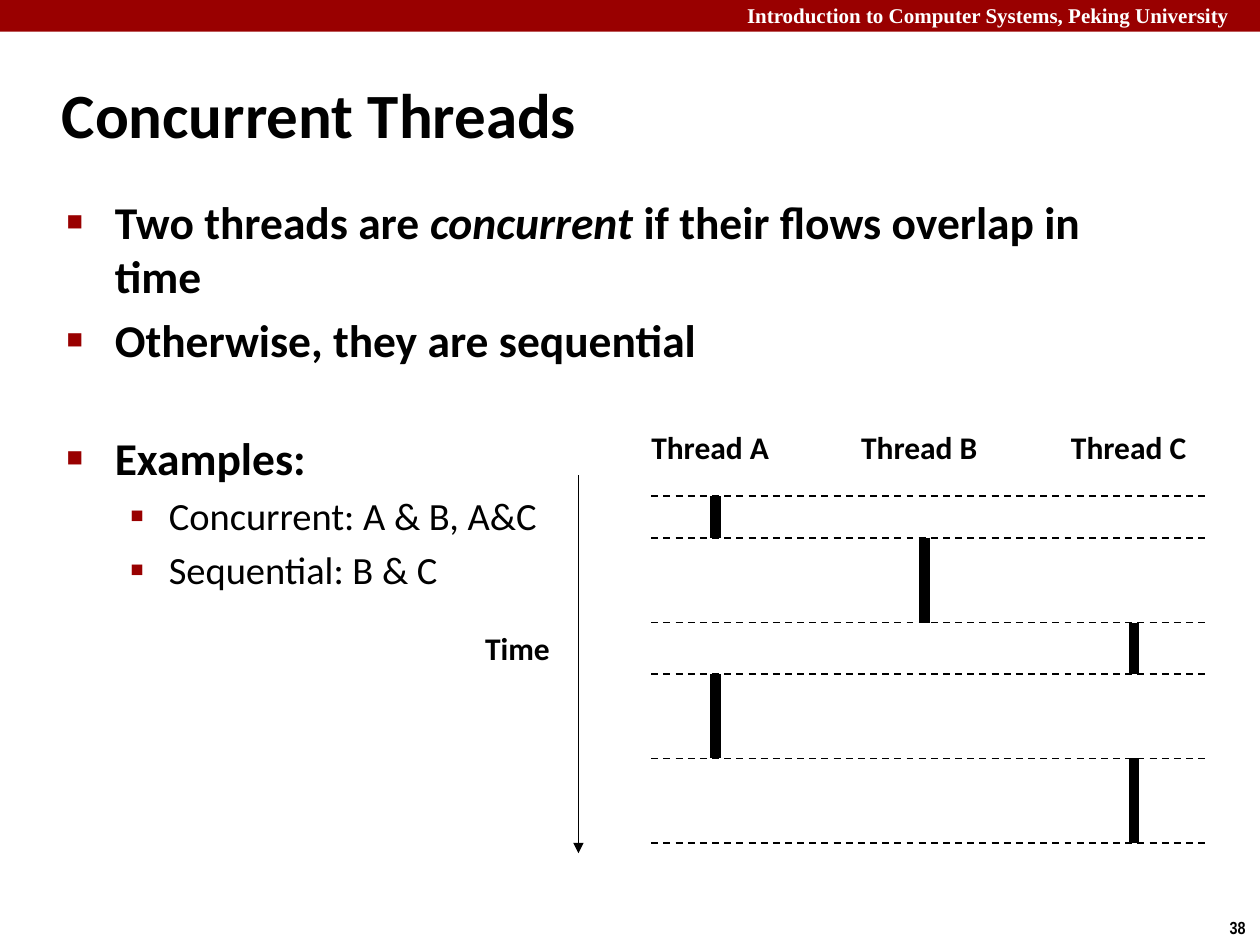
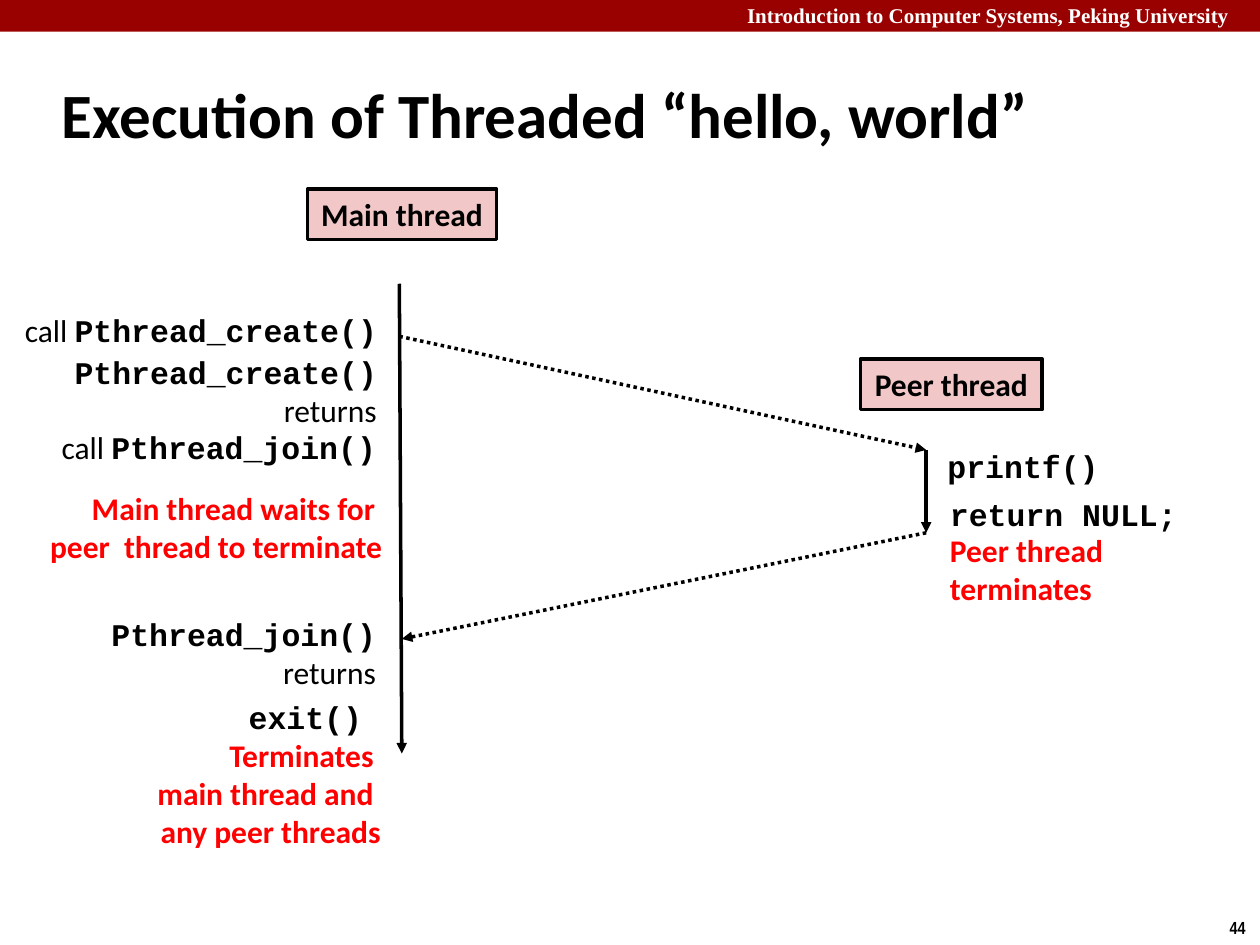
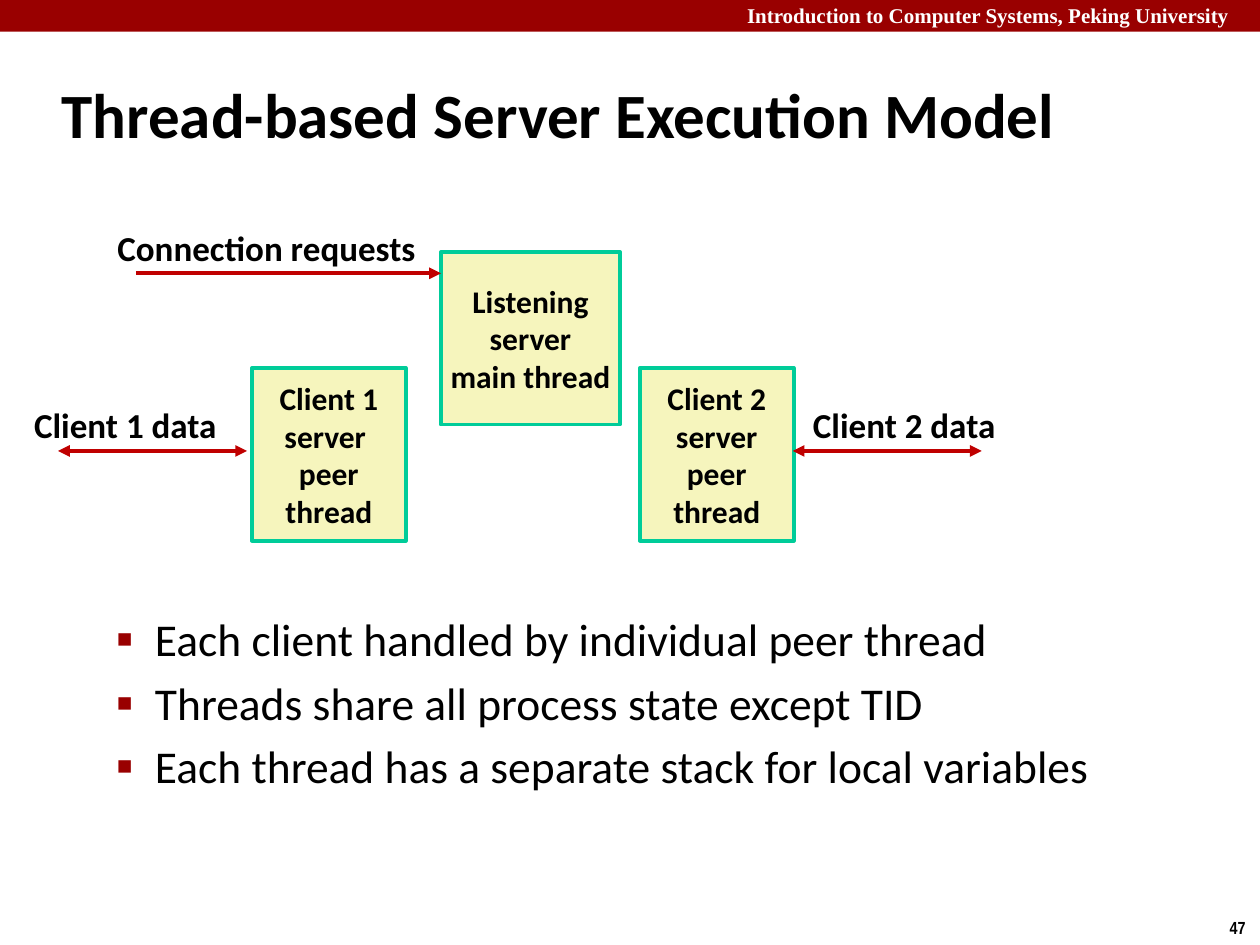
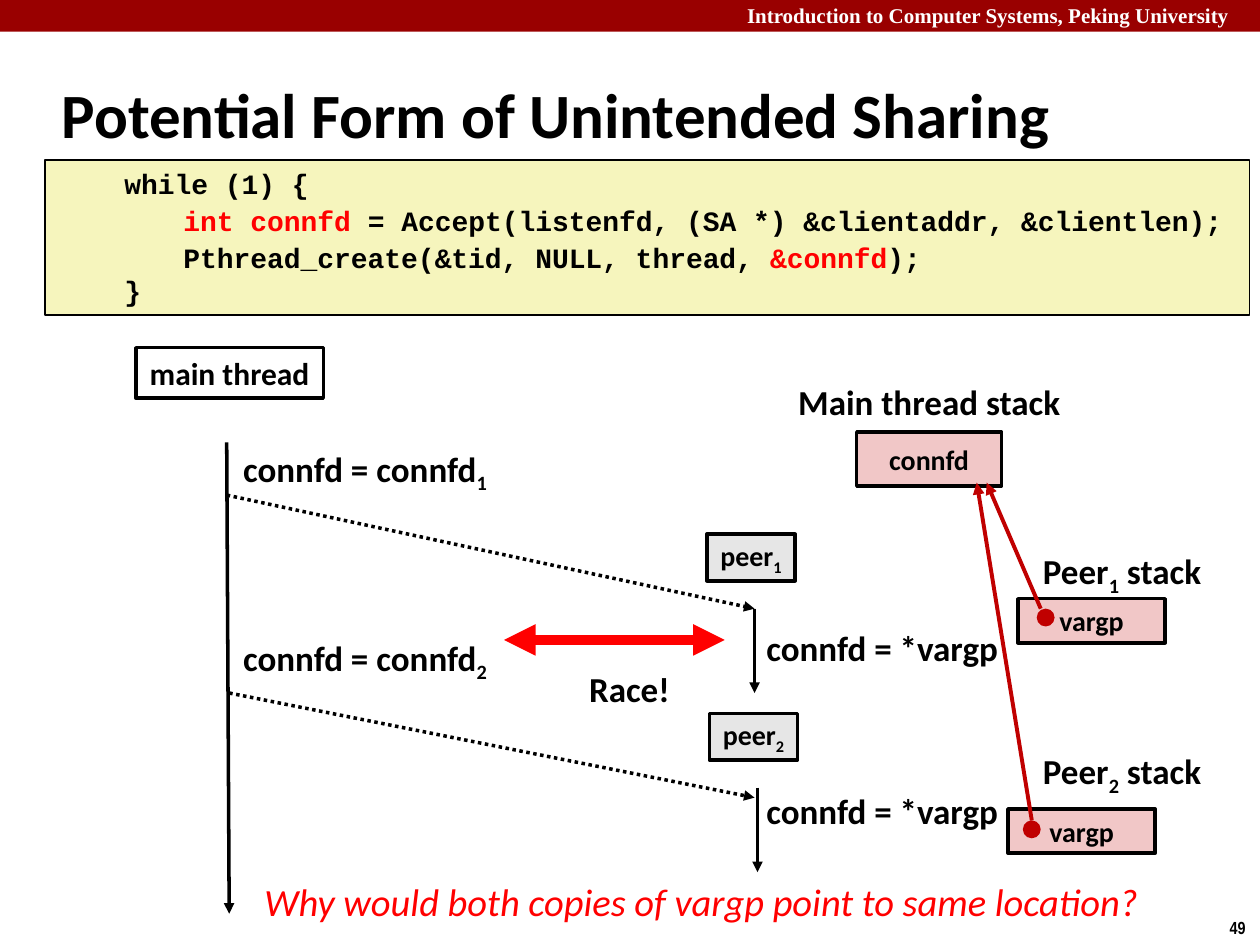
"""Build four lecture slides on concurrent threads and unintended sharing."""
from dataclasses import dataclass

from lxml.etree import SubElement
from pptx import Presentation
from pptx.dml.color import RGBColor
from pptx.enum.dml import MSO_LINE
from pptx.enum.shapes import MSO_CONNECTOR, MSO_SHAPE
from pptx.enum.text import MSO_ANCHOR, MSO_AUTO_SIZE, PP_ALIGN
from pptx.oxml.ns import qn
from pptx.util import Cm, Pt


@dataclass(frozen=True)
class Theme:
    ink: str = "000000"
    paper: str = "FFFFFF"
    band: str = "990000"
    alert: str = "FF0000"
    arrow: str = "C00000"
    pink: str = "F1C7C7"
    cream: str = "F6F5BD"
    grey: str = "E6E6E6"
    green: str = "00CC99"
    sans: str = "Calibri"
    mono: str = "Courier New"
    serif: str = "Times New Roman"
    narrow: str = "Arial Narrow"
    title: int = 36
    body: int = 26
    sub: int = 22
    label: int = 20
    text: int = 18
    small: int = 16
    header: int = 12
    number: int = 10


T = Theme()
LEFT, CENTER, RIGHT = PP_ALIGN.LEFT, PP_ALIGN.CENTER, PP_ALIGN.RIGHT
TOP, MIDDLE = MSO_ANCHOR.TOP, MSO_ANCHOR.MIDDLE


def write(s, at, text="", sp=None, kind=MSO_SHAPE.RECTANGLE, fill=None, edge=None,
          weight=2, align=LEFT, anchor=TOP, wrap=False, grow=True, **look):
    """Put formatted text in a placeholder, a filled shape or a text box."""
    box = [Cm(v) for v in at]
    if sp is not None:
        sp.left, sp.top, sp.width, sp.height = box
    elif fill or edge:
        sp = s.shapes.add_shape(kind, *box)
        sp.shadow.inherit = False
        if fill:
            sp.fill.solid()
            sp.fill.fore_color.rgb = RGBColor.from_string(fill)
        else:
            sp.fill.background()
        if edge:
            sp.line.color.rgb = RGBColor.from_string(edge)
            sp.line.width = Pt(weight)
        else:
            sp.line.fill.background()
    else:
        sp = s.shapes.add_textbox(*box)
    tf = sp.text_frame
    tf.word_wrap = wrap
    tf.auto_size = MSO_AUTO_SIZE.SHAPE_TO_FIT_TEXT if grow else MSO_AUTO_SIZE.NONE
    tf.vertical_anchor = anchor
    base = dict(size=T.text, font=T.sans, color=T.ink, bold=True, italic=False, sub=False)
    for i, para in enumerate(text.split("\n") if isinstance(text, str) else text):
        p = tf.add_paragraph() if i else tf.paragraphs[0]
        p.alignment = align
        for words, change in [(para, {})] if isinstance(para, str) else para:
            f = {**base, **look, **change}
            r = p.add_run()
            r.text = words
            r.font.size, r.font.name = Pt(f["size"]), f["font"]
            r.font.bold, r.font.italic = f["bold"], f["italic"]
            r.font.color.rgb = RGBColor.from_string(f["color"])
            if f["sub"]:
                r.font._element.set("baseline", "-25000")
    return sp


def line(s, start, end, color=T.ink, weight=2, dash=None, ends=()):
    """Draw a straight line with triangles at the named ends."""
    c = s.shapes.add_connector(MSO_CONNECTOR.STRAIGHT, *[Cm(v) for v in (*start, *end)])
    c.line.color.rgb = RGBColor.from_string(color)
    c.line.width = Pt(weight)
    if dash:
        c.line.dash_style = dash
    spPr = c._element.spPr
    for name in ends:
        SubElement(spPr.find(qn("a:ln")), qn(f"a:{name}")).set("type", "triangle")
    SubElement(spPr, qn("a:effectLst"))


TAIL, BOTH = ("tailEnd",), ("headEnd", "tailEnd")
DOTS = MSO_LINE.ROUND_DOT

prs = Presentation()
prs.slide_width, prs.slide_height = Cm(25.4), Cm(19.05)

deck = [
    (38, "Concurrent Threads", (1.09, 3.78, 21.95, 13.82), T.sub, [
        (0, [("Two threads are ", {}), ("concurrent", {"italic": True}),
             (" if their flows overlap in time", {})]),
        (0, "Otherwise, they are sequential"),
        (0, "Examples:"),
        (1, "Concurrent: A & B, A&C"),
        (1, "Sequential: B & C")]),
    (44, "Execution of Threaded “hello, world”", None, None, []),
    (47, "Thread-based Server Execution Model", (0.81, 12.19, 23.09, 5.64), T.body, [
        (1, "Each client handled by individual peer thread"),
        (1, "Threads share all process state except TID"),
        (1, "Each thread has a separate stack for local variables")]),
    (49, "Potential Form of Unintended Sharing", None, None, []),
]
bullets = [("■", "60000", 0.97, -0.97), ("▪", "110000", 2.06, -0.79)]

for number, title, at, sub_size, items in deck:
    s = prs.slides.add_slide(prs.slide_layouts[1 if items else 5])
    write(s, (0.99, 1.22, 21.08, 2.11), title, sp=s.shapes.title, size=T.title,
          anchor=MIDDLE, wrap=True, grow=False)
    write(s, (24.54, 18.36, 0.86, 0.69), str(number), size=T.number, font=T.narrow)
    if not items:
        continue
    body = write(s, at, [text for _, text in items], sp=s.placeholders[1],
                 size=T.body, wrap=True, grow=False)
    for p, (level, text) in zip(body.text_frame.paragraphs, items):
        char, percent, margin, hang = bullets[level]
        p.level = level
        if text == "Examples:":
            p.space_before = Pt(36)
        for r in p.runs if level else []:
            r.font.size, r.font.bold = Pt(sub_size), False
        pPr = p._p.get_or_add_pPr()
        pPr.set("marL", str(Cm(margin)))
        pPr.set("indent", str(Cm(hang)))
        SubElement(SubElement(pPr, qn("a:buClr")), qn("a:srgbClr")).set("val", T.band)
        SubElement(pPr, qn("a:buSzPct")).set("val", percent)
        SubElement(pPr, qn("a:buChar")).set("char", char)

concurrent, hello, server, sharing = prs.slides

band = write(concurrent, (0, 0, 25.4, 0.64), fill=T.band, grow=False)
header = write(concurrent, (14.81, -0.08, 10.77, 0.76),
               "Introduction to Computer Systems, Peking University",
               size=T.header, font=T.serif, color=T.paper, wrap=True)
for i, sp in enumerate((band, header)):
    prs.slide_master.shapes.element.insert(2 + i, sp.element)

s = concurrent
line(s, (11.66, 9.58), (11.66, 17.2), weight=1, ends=TAIL)
write(s, (9.53, 12.55, 1.83, 1.02), "Time")
for i, name in enumerate("ABC"):
    write(s, (12.88 + 4.23 * i, 8.51, 2.91, 1.02), f"Thread {name}")
switches = [10, 10.84, 12.55, 13.59, 15.29, 17]
for name, start, end in zip("ABCAC", switches, switches[1:]):
    x = 14.42 + 4.22 * "ABC".index(name)
    line(s, (x, start), (x, end), weight=6)
for y in switches:
    line(s, (13.13, y), (24.36, y), weight=1, dash=MSO_LINE.DASH)

s = hello
for at, name in [((6.2, 3.81, 3.81, 1.02), "Main thread"),
                 ((17.35, 7.24, 3.66, 1.02), "Peer thread")]:
    write(s, at, name, fill=T.pink, edge=T.ink, align=CENTER, anchor=MIDDLE)
for start, end, dash in [((8.05, 5.72), (8.1, 15.19), None),
                         ((18.67, 9.07), (18.67, 10.74), None),
                         ((8.05, 6.78), (18.67, 9.07), DOTS),
                         ((18.67, 10.74), (8.1, 12.88), DOTS)]:
    line(s, start, end, dash=dash, ends=TAIL)
plain, code, red = {"bold": False}, {"font": T.mono}, {"color": T.alert}
for at, name in [((0.03, 6.15, 7.82, 1.02), "Pthread_create()"),
                 ((0.79, 8.51, 7.04, 1.02), "Pthread_join()")]:
    write(s, at, [[("call ", plain), (name, code)]], align=RIGHT)
write(s, (1.17, 6.99, 6.68, 1.8), [[("Pthread_create()", code)], [("returns", plain)]],
      align=RIGHT)
write(s, (0.84, 12.27, 6.99, 1.8), [[("Pthread_join() ", code), ("returns", plain)]],
      align=RIGHT, wrap=True)
write(s, (0.64, 9.73, 7.32, 1.8), "Main thread waits for \npeer  thread to terminate",
      color=T.alert, align=RIGHT, anchor=MIDDLE)
write(s, (2.9, 13.94, 5.03, 3.33),
      [[("exit() ", code)], [("Terminates ", red)], [("main thread and ", red)],
       [("any peer threads", red)]], align=RIGHT, anchor=MIDDLE)
write(s, (18.85, 8.89, 3.58, 1.02), "printf()", font=T.mono, anchor=MIDDLE)
write(s, (18.9, 9.86, 5.28, 1.02), "return NULL;", font=T.mono, anchor=MIDDLE)
write(s, (18.9, 10.59, 3.66, 1.8), "Peer thread\nterminates", color=T.alert)

s = server
for at, name in [((5.08, 7.42, 3.1, 3.48), "Client 1\nserver \npeer\nthread"),
                 ((12.9, 7.42, 3.1, 3.48), "Client 2\nserver\npeer\nthread"),
                 ((8.89, 5.08, 3.61, 3.48), "Listening\nserver\nmain thread")]:
    write(s, at, name, fill=T.cream, edge=T.green, weight=2.25, align=CENTER,
          anchor=MIDDLE, grow=False)
for start, end, ends, at, name in [
        ((2.74, 5.51), (8.89, 5.51), TAIL, (2.03, 4.45, 6.6, 1.12), "Connection requests"),
        ((1.17, 9.09), (4.98, 9.09), BOTH, (0.38, 8, 4.24, 1.12), "Client 1 data"),
        ((19.79, 9.09), (15.98, 9.09), BOTH, (16.08, 8, 4.24, 1.12), "Client 2 data")]:
    line(s, start, end, color=T.arrow, weight=2.25, ends=ends)
    write(s, at, name, size=T.label, align=RIGHT)

s = sharing
listing = write(s, (0.91, 3.23, 24.28, 3.12), [
    "while (1) {",
    [("int connfd ", red), ("= Accept(listenfd, (SA *) &clientaddr, &clientlen);", {})],
    [("Pthread_create(&tid, NULL, thread, ", {}), ("&connfd", red), (");", {})],
    "}"], fill=T.cream, edge=T.ink, weight=1, size=T.small, font=T.mono, wrap=True, grow=False)
for p, margin in zip(listing.text_frame.paragraphs, (1.35, 2.54, 2.54, 1.35)):
    p._p.get_or_add_pPr().set("marL", str(Cm(margin)))
    if margin > 2:
        p.line_spacing = 1.1
write(s, (2.74, 7.01, 3.78, 1.02), "main thread", edge=T.ink, align=CENTER, anchor=MIDDLE)
line(s, (4.57, 8.92), (4.62, 18.42), ends=TAIL)
write(s, (15.8, 7.54, 5.87, 1.12), "Main thread stack", size=T.label, align=CENTER)
write(s, (17.27, 8.71, 2.92, 1.09), "connfd", fill=T.pink, edge=T.ink, size=T.small,
      align=CENTER, anchor=MIDDLE, grow=False)

peers = [
    dict(n="1", box=(14.25, 10.77), run=(15.21, 12.27), call=(4.57, 9.98), hit=12.27,
         assign=8.89, use=12.5, stack=10.95, slot=(20.52, 12.07),
         pointer=((20.98, 12.27), (19.89, 9.73)), dot=(20.9, 12.27)),
    dict(n="2", box=(14.3, 14.38), run=(15.27, 15.88), call=(4.62, 13.97), hit=16.08,
         assign=12.7, use=15.8, stack=14.99, slot=(20.32, 16.31),
         pointer=((20.8, 16.54), (19.69, 9.73)), dot=(20.62, 16.54)),
]
for peer in peers:
    index = (peer["n"], {"sub": True})
    x, y = peer["run"]
    write(s, (*peer["box"], 1.78, 0.94), [[("peer", {}), index]], fill=T.grey, edge=T.ink,
          size=T.small, align=CENTER, anchor=MIDDLE)
    line(s, (x, y), (x, y + 1.7), ends=TAIL)
    line(s, peer["call"], (15.21, peer["hit"]), dash=DOTS, ends=TAIL)
    write(s, (4.65, peer["assign"], 5.54, 1.12), [[("connfd = connfd", {}), index]],
          size=T.label)
    write(s, (15.04, peer["use"], 5.41, 1.12), " connfd = *vargp", size=T.label)
    write(s, (20.73, peer["stack"], 3.78, 1.12), [[("Peer", {}), index, (" stack", {})]],
          size=T.label, align=CENTER)
    write(s, (*peer["slot"], 2.97, 0.89), "vargp", fill=T.pink, edge=T.ink, size=T.small,
          align=CENTER, anchor=MIDDLE, grow=False)
    line(s, *peer["pointer"], color=T.arrow, weight=2.25, ends=TAIL)
    write(s, (*peer["dot"], 0.36, 0.36), kind=MSO_SHAPE.OVAL, fill=T.arrow, grow=False)
line(s, (10.16, 12.9), (14.61, 12.9), color=T.alert, weight=6, ends=BOTH)
write(s, (11.61, 13.34, 2.16, 1.12), "Race!", size=T.label, align=CENTER)
write(s, (5.08, 17.58, 19.03, 1.19), "Why would both copies of vargp point to same location?",
      size=T.sub, color=T.alert, bold=False, italic=True)

prs.save("out.pptx")
